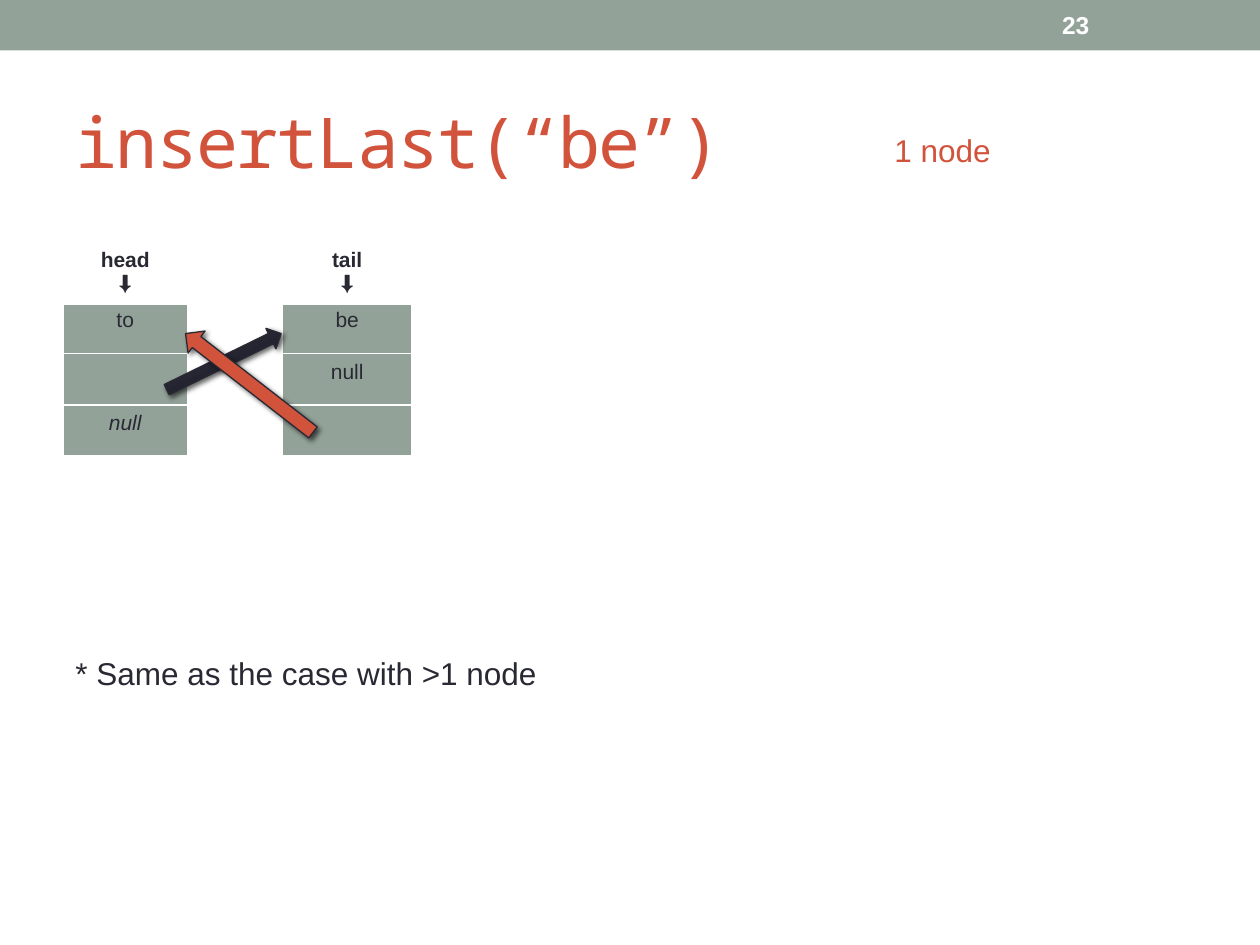
import pptx
import pptx.util
import pptx.dml.color
import pptx.enum.shapes
import pptx.enum.text
import pptx.oxml
import pptx.oxml.ns

Cm = pptx.util.Cm
Pt = pptx.util.Pt
RGBColor = pptx.dml.color.RGBColor
PP_ALIGN = pptx.enum.text.PP_ALIGN
MSO_ANCHOR = pptx.enum.text.MSO_ANCHOR
MSO_SHAPE = pptx.enum.shapes.MSO_SHAPE

SAGE = RGBColor(0x93, 0xA2, 0x99)
RUST = RGBColor(0xD2, 0x53, 0x3C)
INK = RGBColor(0x29, 0x29, 0x34)
DEEP_INK = RGBColor(0x21, 0x21, 0x2F)
WHITE = RGBColor(0xFF, 0xFF, 0xFF)

TITLE = "insertLast(“be”)"
LABELS = [
    ("23", 21.16, 0.05, 2.97, 0.91, 14, WHITE, True, True),
    ("1 node", 17.78, 2.51, 2.46, 1.02, 18, RUST, False, False),
    ("* Same as the case with >1 node", 1.27, 13.06, 9.91, 1.02, 18, INK, False, False),
]
NODES = {
    0: [["head", "⬇"], ["to"], [], ["null"]],
    2: [["tail", "⬇"], ["be"], ["null"], []],
}
ITALIC_CELL = (3, 0)
COLUMN_WIDTHS = [2.51, 1.91, 2.62, 0.57] + [1.91] * 8
ROW_HEIGHTS = [1.22] + [1.03] * 3
POINTERS = [
    (3.23, 7.06, 2.57, 0.46, 333.9, (DEEP_INK, INK)),
    (3.4, 7.44, 3.25, 0.56, 217.8, (RUST,)),
]
SHADOW = (
    '<a:effectLst {ns}><a:outerShdw blurRad="38100" dist="25400" dir="2700000" rotWithShape="0">'
    '<a:srgbClr val="000000"><a:alpha val="60000"/></a:srgbClr></a:outerShdw></a:effectLst>'
)
BORDER = (
    '<a:{side} {ns} w="{width}"><a:solidFill><a:srgbClr val="{color}"/></a:solidFill></a:{side}>'
)
NS = pptx.oxml.ns.nsdecls("a")


def add_run(paragraph, wording, size, color, bold=False, italic=False, font="Arial"):
    run = paragraph.add_run()
    run.text = wording
    run.font.name = font
    run.font.size = Pt(size)
    run.font.bold = bold
    run.font.italic = italic
    run.font.color.rgb = color
    return run


def add_label(slide, wording, left, top, width, height, size, color, bold, wrap):
    label = slide.shapes.add_textbox(Cm(left), Cm(top), Cm(width), Cm(height))
    label.text_frame.word_wrap = wrap
    label.text_frame.vertical_anchor = MSO_ANCHOR.MIDDLE if wrap else MSO_ANCHOR.TOP
    add_run(label.text_frame.paragraphs[0], wording, size, color, bold)


def set_borders(cell, bottom_width):
    properties = cell._tc.get_or_add_tcPr()
    widths = {"lnL": 1, "lnR": 1, "lnT": 1, "lnB": bottom_width}
    for position, (side, width) in enumerate(widths.items()):
        border = BORDER.format(side=side, ns=NS, width=Pt(width), color=WHITE)
        properties.insert(position, pptx.oxml.parse_xml(border))


def add_nodes(slide):
    nodes = slide.shapes.add_table(
        len(ROW_HEIGHTS), len(COLUMN_WIDTHS), Cm(1.27), Cm(4.88),
        Cm(sum(COLUMN_WIDTHS)), Cm(sum(ROW_HEIGHTS)),
    ).table
    for column, width in zip(nodes.columns, COLUMN_WIDTHS):
        column.width = Cm(width)
    for r, height in enumerate(ROW_HEIGHTS):
        nodes.rows[r].height = Cm(height)
        for c in range(len(COLUMN_WIDTHS)):
            cell = nodes.cell(r, c)
            cell.fill.solid()
            cell.fill.fore_color.rgb = SAGE if r and c in NODES else WHITE
            set_borders(cell, 1 if r else 3)
            lines = NODES[c][r] if c in NODES else []
            for i, line in enumerate(lines):
                frame = cell.text_frame
                paragraph = frame.add_paragraph() if i else frame.paragraphs[0]
                paragraph.alignment = PP_ALIGN.CENTER
                add_run(paragraph, line, 12, INK, r == 0, (r, c) == ITALIC_CELL)


def add_pointer(slide, left, top, width, height, rotation, colors):
    pointer = slide.shapes.add_shape(
        MSO_SHAPE.RIGHT_ARROW, Cm(left), Cm(top), Cm(width), Cm(height)
    )
    pointer.rotation = rotation
    if len(colors) > 1:
        pointer.fill.gradient()
        for stop, color in zip(pointer.fill.gradient_stops, colors):
            stop.color.rgb = color
    else:
        pointer.fill.solid()
        pointer.fill.fore_color.rgb = colors[0]
    pointer.line.color.rgb = INK
    pointer.line.width = Pt(0.75)
    pointer._element.spPr.append(pptx.oxml.parse_xml(SHADOW.format(ns=NS)))


def main():
    deck = pptx.Presentation()
    deck.slide_width, deck.slide_height = Cm(25.4), Cm(19.05)
    slide = deck.slides.add_slide(deck.slide_layouts[5])

    banner = slide.shapes.add_shape(MSO_SHAPE.RECTANGLE, 0, 0, deck.slide_width, Cm(1.02))
    banner.shadow.inherit = False
    banner.fill.solid()
    banner.fill.fore_color.rgb = SAGE
    banner.line.fill.background()

    title = slide.shapes.title
    title.left, title.top, title.width, title.height = Cm(1.27), Cm(1.47), Cm(22.86), Cm(2.74)
    title.text_frame.vertical_anchor = MSO_ANCHOR.MIDDLE
    heading = title.text_frame.paragraphs[0]
    heading.alignment = PP_ALIGN.LEFT
    call = add_run(heading, TITLE, 40, RUST, font="Noto Sans Mono")
    call.font._element.set("spc", "-100")

    add_nodes(slide)
    for label in LABELS:
        add_label(slide, *label)
    for pointer in POINTERS:
        add_pointer(slide, *pointer)
    deck.save("out.pptx")


if __name__ == "__main__":
    main()
